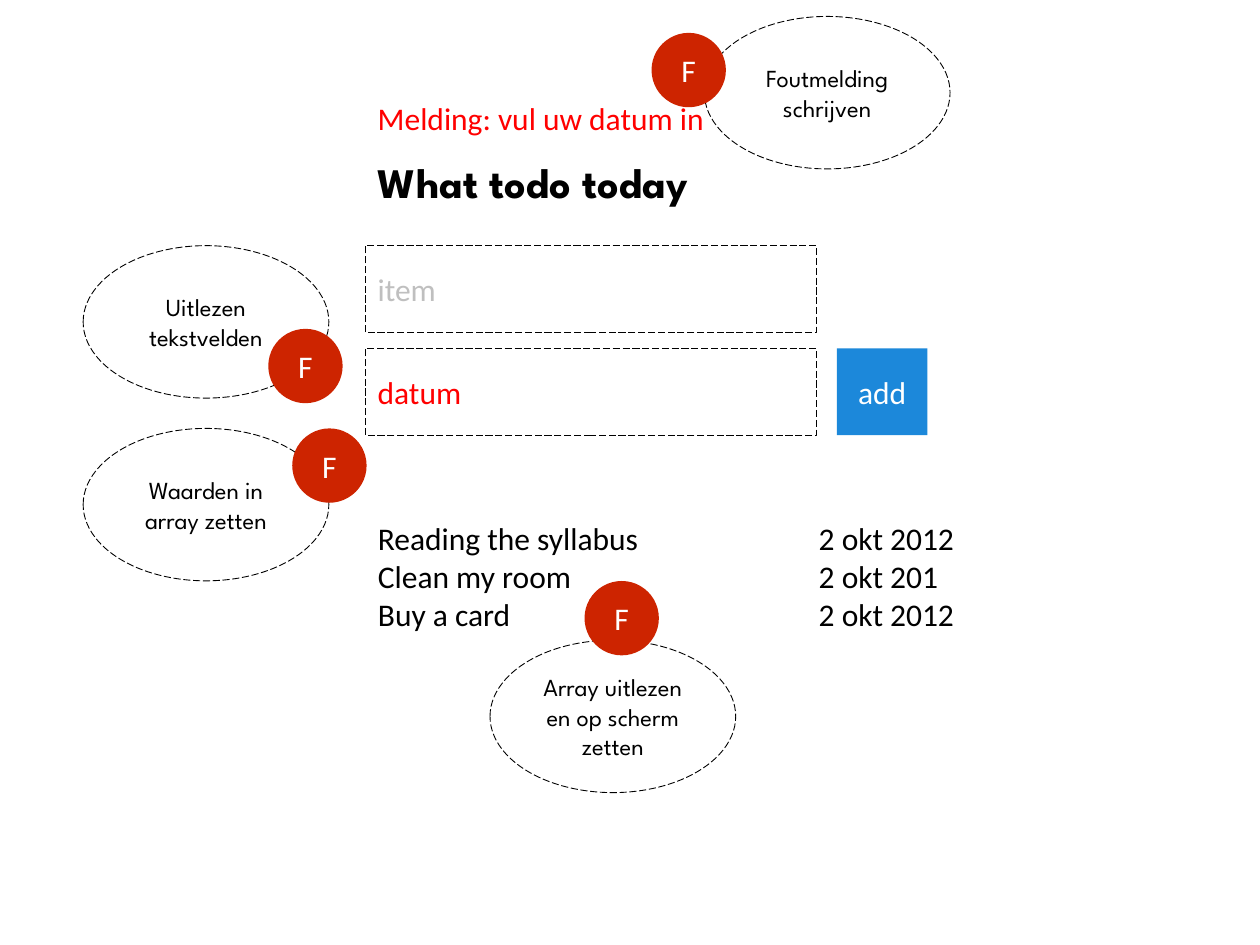
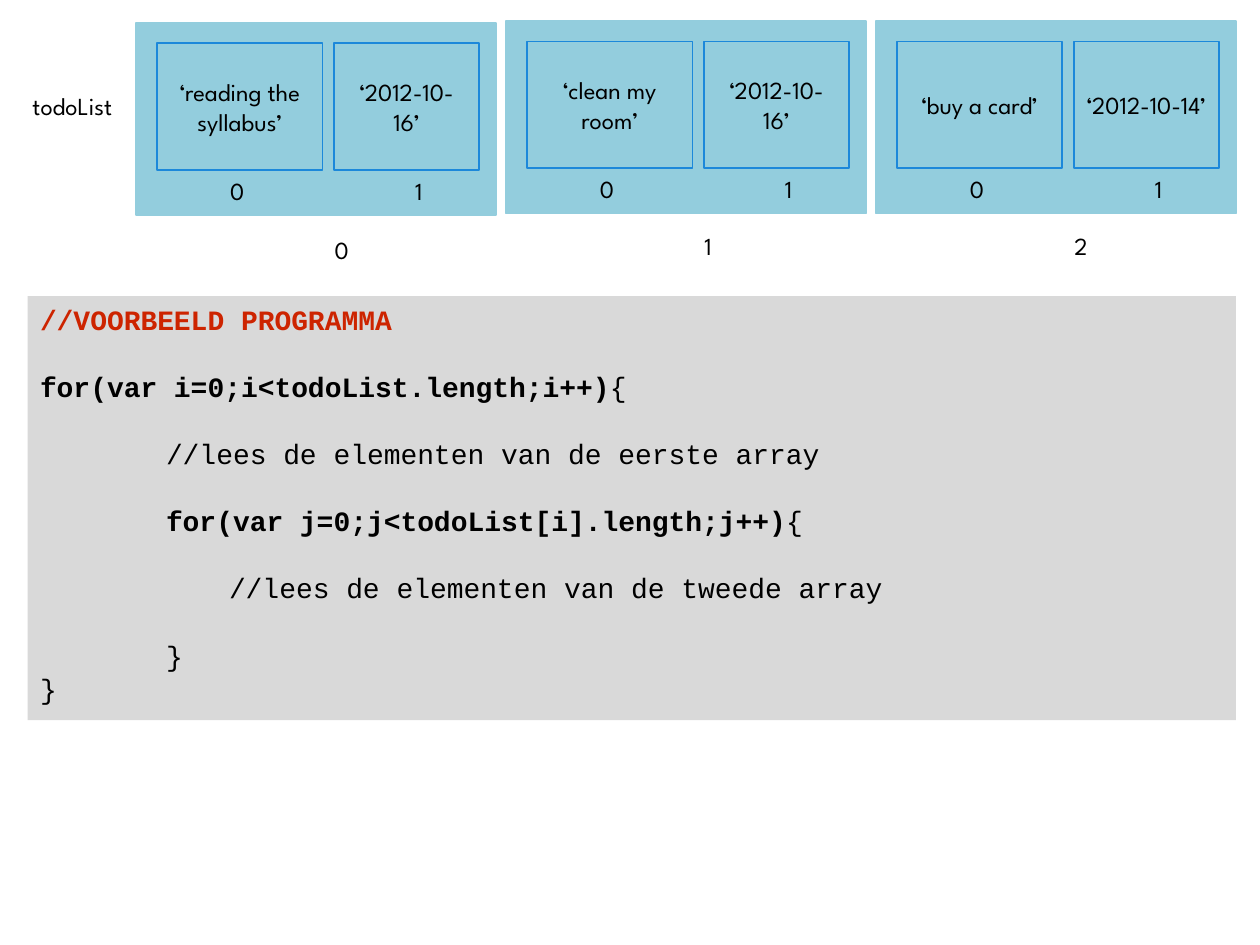
from pptx import Presentation
from pptx.dml.color import RGBColor
from pptx.enum import dml, shapes, text
from pptx.oxml import parse_xml
from pptx.oxml.ns import nsdecls
from pptx.util import Pt

SANS, HEAD, MONO = "Calibri", "League Spartan", "Courier New"
BLACK, WHITE, GREY, PALE = "000000", "FFFFFF", "BFBFBF", "D9D9D9"
RED, BRICK, BLUE, SKY = "FF0000", "CD2400", "1C88DA", "93CDDD"
LEFT, MID = text.PP_ALIGN.LEFT, text.PP_ALIGN.CENTER
TOP, CTR = text.MSO_ANCHOR.TOP, text.MSO_ANCHOR.MIDDLE
RECT, OVAL = shapes.MSO_SHAPE.RECTANGLE, shapes.MSO_SHAPE.OVAL


def rgb(code):
    return RGBColor.from_string(code)


# Text: each line is a string or a list of (words, bold) pairs
def write(shape, lines, font=HEAD, size=14, color=BLACK, bold=False,
          align=LEFT, anchor=TOP):
    frame = shape.text_frame
    frame.word_wrap = True
    frame.auto_size = text.MSO_AUTO_SIZE.NONE
    frame.vertical_anchor = anchor
    for n, line in enumerate([lines] if isinstance(lines, str) else lines):
        para = frame.add_paragraph() if n else frame.paragraphs[0]
        para.alignment = align
        para.space_before = Pt(0)
        for words, heavy in [(line, bold)] if isinstance(line, str) else line:
            run = para.add_run()
            run.text = words
            run.font.name, run.font.size = font, Pt(size)
            run.font.bold = heavy
            run.font.color.rgb = rgb(color)
    return frame


def place(shape, box):
    shape.left, shape.top, shape.width, shape.height = map(Pt, box)
    return shape


def label(slide, box, words, **style):
    write(slide.shapes.add_textbox(*map(Pt, box)), words, **style)


def block(slide, box, kind=RECT, fill=None, line=None, width=1, dash=False):
    shape = slide.shapes.add_shape(kind, *map(Pt, box))
    shape.shadow.inherit = False
    if fill:
        shape.fill.solid()
        shape.fill.fore_color.rgb = rgb(fill)
    else:
        shape.fill.background()
    if line:
        shape.line.color.rgb = rgb(line)
        shape.line.width = Pt(width)
        if dash:
            shape.line.dash_style = dml.MSO_LINE.LONG_DASH
    else:
        shape.line.fill.background()
    return shape


def dashed(slide, box, kind=RECT):
    return block(slide, box, kind, line=BLACK, width=0.5, dash=True)


# Input form: message, title, two fields and a button
def form(slide, box):
    x, y, w, h = box
    label(slide, (x, y, w, 29), "Melding: vul uw datum in",
          font=SANS, size=18, color=RED)
    title = place(slide.shapes.title, (x, y + 32.7, 212, 36))
    write(title, "What todo today", size=24, bold=True)
    for n, (words, color) in enumerate([("item", GREY), ("datum", RED)]):
        field = dashed(slide, (x, y + 87 + n * 58.75, 257.75, 49.7))
        write(field, words, font=SANS, size=18, color=color, anchor=CTR)
    button = block(slide, (x + 269.5, y + 145.75, 51.7, 49.7), fill=BLUE)
    write(button, "add", font=SANS, size=18, color=WHITE,
          align=MID, anchor=CTR)


# Tasks in the body placeholder, with a column of dates beside it
def todos(slide, box):
    x, y, w, h = box
    split = 252
    tasks = ["Reading the syllabus", "Clean my room", "Buy a card"]
    dates = ["2 okt 2012", "2 okt 201", "2 okt 2012"]
    body = place(slide.placeholders[1], (x, y, split, h))
    for para in write(body, tasks, font=SANS, size=18).paragraphs:
        props = para._p.get_or_add_pPr()
        props.set("marL", "0")
        props.set("indent", "0")
        props.append(parse_xml(f"<a:buNone {nsdecls('a')}/>"))
    label(slide, (x + split, y, w - split, h), dates, font=SANS, size=18)


# Dashed bubble with a round F mark at an offset from its corner
def note(slide, box, words, dx, dy):
    x, y = box[:2]
    write(dashed(slide, box, OVAL), words, align=MID, anchor=CTR)
    mark = block(slide, (x + dx, y + dy, 42.5, 42.5), OVAL, fill=BRICK)
    write(mark, "F", font=SANS, size=18, color=WHITE, align=MID, anchor=CTR)


# One list entry: two cells with their indexes, and its own index below
def entry(slide, box, index, cells, drop):
    x, y, w, h = box
    block(slide, box, fill=SKY, line=SKY)
    label(slide, (x + 106.5, y + drop, 22, 24), str(index))
    spots = [(12.2, 94.5, 46.8), (113.2, 83, 152.5)]
    for n, (words, (dx, width, tag)) in enumerate(zip(cells, spots)):
        cell = block(slide, (x + dx, y + 11.7, width, 72.5), line=BLUE)
        write(cell, words, align=MID, anchor=CTR)
        label(slide, (x + tag, y + 83.8, 22, 24), str(n))


# Code panel: (indent, gap above in lines, parts)
def code(slide, box):
    step = 19.2
    rows = [
        (0, 0, [("//VOORBEELD PROGRAMMA", True)]),
        (0, 1, [("for(var i=0;i<todoList.length;i++)", True), ("{", False)]),
        (72, 1, [("//lees de elementen van de eerste array", False)]),
        (72, 1, [("for(var j=0;j<todoList[i].length;j++)", True),
                 ("{", False)]),
        (108, 1, [("//lees de elementen van de tweede array", False)]),
        (72, 1, [("}", False)]),
        (0, 0, [("}", False)]),
    ]
    panel = block(slide, box, fill=PALE)
    frame = write(panel, [row[2] for row in rows], font=MONO, size=16)
    for para, (indent, gap, _) in zip(frame.paragraphs, rows):
        para.line_spacing = Pt(step)
        para.space_before = Pt(gap * step)
        para._p.get_or_add_pPr().set("marL", str(Pt(indent)))
    frame.paragraphs[0].runs[0].font.color.rgb = rgb(BRICK)


def screen(deck):
    slide = deck.slides.add_slide(deck.slide_layouts[1])
    form(slide, (208.75, 53.3, 373, 196))
    todos(slide, (208.75, 293, 373, 73))
    for x, y, words, dx, dy in [
            (47.5, 140.4, "Uitlezen tekstvelden", 105.8, 47.5),
            (402.5, 9.4, "Foutmelding schrijven", -30.2, 9.4),
            (280, 365.8, "Array uitlezen en op scherm zetten", 54, -33.8),
            (47.5, 244.8, "Waarden in array zetten", 119.5, 0)]:
        note(slide, (x, y, 140.4, 87.1), words, dx, dy)


def arrays(deck):
    slide = deck.slides.add_slide(deck.slide_layouts[6])
    code(slide, (15.8, 169.2, 690.5, 242.4))
    label(slide, (11.5, 48.2, 67, 24), "todoList")
    items = [("‘reading the syllabus’", "‘2012-10-16’", 13, 118),
             ("‘clean my room’", "‘2012-10-16’", 12, 116.2),
             ("‘buy a card’", "‘2012-10-14’", 12, 116.6)]
    for n, (task, date, y, drop) in enumerate(items):
        entry(slide, (77.6 + n * 211.4, y, 206, 110), n, (task, date), drop)


def main():
    deck = Presentation()
    deck.slide_width, deck.slide_height = Pt(720), Pt(540)
    screen(deck)
    arrays(deck)
    deck.save("out.pptx")


if __name__ == "__main__":
    main()
